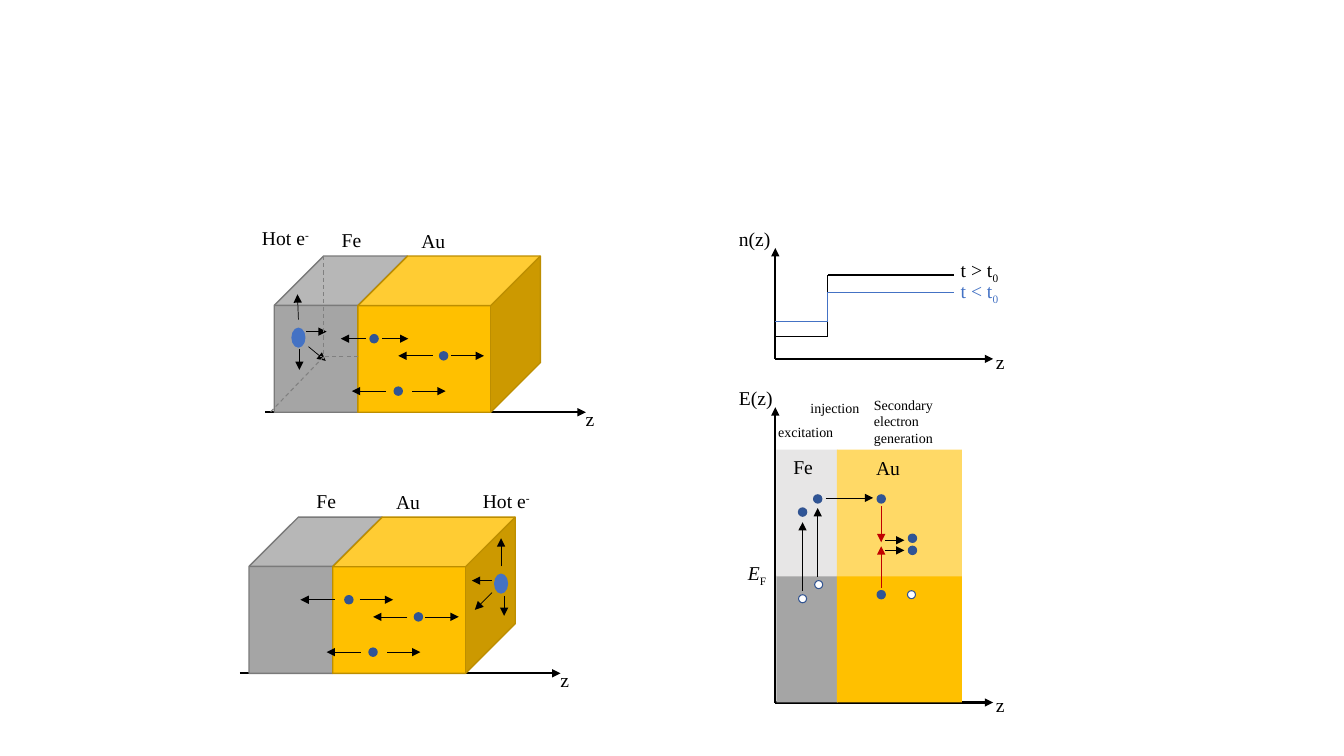
from lxml.etree import SubElement
from pptx import Presentation
from pptx.dml.color import RGBColor
from pptx.enum.dml import MSO_LINE
from pptx.enum.shapes import MSO_CONNECTOR, MSO_SHAPE
from pptx.oxml.ns import qn
from pptx.util import Inches, Pt

BLACK, WHITE, BLUE, RED = "000000", "FFFFFF", "4472C4", "C00000"
IRON, GOLD, NAVY, RIM = "A5A5A5", "FFC000", "2F5597", "325491"
DOT = 0.08


def color(value):
    """Turn a hex string into a colour."""
    return RGBColor.from_string(value)


def add_line(page, start, end, shade=BLACK, width=0.5, arrow=True, dashed=False):
    """Draw a straight line, with an arrowhead at its end if wanted."""
    points = [Inches(value) for value in (*start, *end)]
    line = page.shapes.add_connector(MSO_CONNECTOR.STRAIGHT, *points)
    line.line.color.rgb = color(shade)
    line.line.width = Pt(width)
    if dashed:
        line.line.dash_style = MSO_LINE.DASH
    properties = line._element.spPr
    if arrow:
        SubElement(properties.find(qn("a:ln")), qn("a:tailEnd"), type="triangle")
    SubElement(properties, qn("a:effectLst"))


def add_solid(page, kind, box, fill, edge=None, width=1):
    """Draw a filled preset shape with an optional outline."""
    solid = page.shapes.add_shape(kind, *(Inches(value) for value in box))
    solid.shadow.inherit = False
    solid.fill.solid()
    solid.fill.fore_color.rgb = color(fill)
    if edge:
        solid.line.color.rgb = color(edge)
        solid.line.width = Pt(width)
    else:
        solid.line.fill.background()
    return solid


def add_electron(page, left, top):
    """Draw a small filled electron."""
    add_solid(page, MSO_SHAPE.OVAL, (left, top, DOT, DOT), NAVY, RIM)


def add_hole(page, left, top):
    """Draw a small empty electron hole."""
    add_solid(page, MSO_SHAPE.OVAL, (left, top, DOT, DOT), WHITE, RIM, 0.75)


def add_label(page, box, text, shift="", baseline=0, size=14, shade=BLACK,
              wrap=True, italic=False):
    """Write a label, with an optional subscript or superscript."""
    frame = page.shapes.add_textbox(*(Inches(value) for value in box)).text_frame
    frame.word_wrap = wrap
    para = frame.paragraphs[0]
    para.font.name = "Times New Roman"
    para.font.size = Pt(size)
    para.font.color.rgb = color(shade)
    span = para.add_run()
    span.text = text
    if italic:
        span.font.italic = True
    if shift:
        span = para.add_run()
        span.text = shift
        span.font._element.set("baseline", str(baseline * 1000))


def add_bilayer(page, left, top, hot_spot, hot_arrows, hot_label, first_arrows):
    """Draw the Fe/Au block with its z axis, electrons and hot electron."""
    def at(across, down):
        return left + across, top + down

    add_line(page, at(-0.09, 1.55), at(3.09, 1.55), width=1.5)
    for across, width, depth, fill, edge in (
            (0, 1.32, 0.371, IRON, "7A7A7A"), (0.83, 1.81, 0.318, GOLD, "BD8E00")):
        cube = add_solid(page, MSO_SHAPE.CUBE, (*at(across, 0), width, 1.55), fill, edge)
        cube.adjustments[0] = depth
    add_label(page, (*at(2.99, 1.45), 0.29, 0.34), "z", wrap=False)
    add_solid(page, MSO_SHAPE.OVAL, (*at(*hot_spot), 0.14, 0.2), BLUE)
    for start, end in hot_arrows:
        add_line(page, at(*start), at(*end))
    for across, down, arrows in (
            (0.95, 0.78, first_arrows),
            (1.64, 0.95, ((1.57, 1.23), (1.75, 2.08))),
            (1.19, 1.3, ((1.11, 0.77), (1.37, 1.7)))):
        add_electron(page, *at(across, down))
        for start, end in arrows:
            add_line(page, at(start, down + DOT / 2), at(end, down + DOT / 2))
    add_label(page, (*at(0.57, -0.33), 0.46, 0.34), "Fe")
    add_label(page, (*at(1.36, -0.32), 0.52, 0.34), "Au")
    add_label(page, (*at(*hot_label), 0.7, 0.34), "Hot e", "-", 30)


def add_hidden_edges(page, left, top):
    """Draw the dashed rear edges of the Fe layer."""
    for start, end in (((0.49, 0), (0.49, 1.02)), ((0.49, 1), (-0.04, 1.55)),
                       ((0.83, 1), (0.45, 1))):
        add_line(page, (left + start[0], top + start[1]), (left + end[0], top + end[1]),
                 "808080", 0.75, arrow=False, dashed=True)


def add_axes(page, left, bottom, height, name):
    """Draw a vertical axis with its name and a horizontal z axis."""
    add_line(page, (left, bottom), (left + 2.16, bottom), width=1.5)
    add_line(page, (left, bottom), (left, bottom - height), width=1.5)
    add_label(page, (left - 0.46, bottom - height - 0.26, 0.94, 0.34), name)
    add_label(page, (left + 2.09, bottom - 0.14, 0.29, 0.34), "z", wrap=False)


def add_density(page, left, bottom):
    """Draw the step profiles of n(z) before and after t0."""
    add_axes(page, left, bottom, 1.1, "n(z)")
    step, end = left + 0.52, left + 1.77
    for sign, shade, low, high, label_top in (
            (">", BLACK, 0.22, 0.83, 1.05), ("<", BLUE, 0.37, 0.66, 0.84)):
        corners = [(left, bottom - low), (step, bottom - low),
                   (step, bottom - high), (end, bottom - high)]
        for start, stop in zip(corners, corners[1:]):
            add_line(page, start, stop, shade, 1, arrow=False)
        add_label(page, (left + 1.74, bottom - label_top, 0.58, 0.34),
                  f"t {sign} t", "0", -25, shade=shade, wrap=False)


def add_energy(page, left, bottom):
    """Draw the energy diagram with excitation, injection and generation."""
    def at(across, up):
        return left + across, bottom - up

    add_axes(page, left, bottom, 2.93, "E(z)")
    for across, width, filled, empty in ((0.01, 0.61, IRON, "E7E6E6"),
                                         (0.61, 1.24, GOLD, "FFD966")):
        for up, fill in ((1.26, filled), (2.51, empty)):
            add_solid(page, MSO_SHAPE.RECTANGLE, (*at(across, up), width, 1.26), fill)
    add_label(page, (*at(-0.37, 1.45), 0.94, 0.34), "E", "F", -25, italic=True)
    add_label(page, (*at(0.08, 2.51), 0.46, 0.34), "Fe")
    add_label(page, (*at(0.9, 2.5), 0.52, 0.34), "Au")
    for across, up in ((0.23, 1.07), (0.39, 1.21), (1.31, 1.11)):
        add_hole(page, *at(across, up))
    for across, up in ((0.23, 1.93), (0.38, 2.06), (1.01, 2.06), (1.01, 1.11),
                       (1.32, 1.67), (1.32, 1.55)):
        add_electron(page, *at(across, up))
    for start, end, shade in (
            ((0.27, 1.11), (0.27, 1.79), BLACK), ((0.42, 1.25), (0.42, 1.93), BLACK),
            ((0.5, 2.03), (0.97, 2.03), BLACK), ((1.05, 1.95), (1.05, 1.59), RED),
            ((1.05, 1.14), (1.05, 1.55), RED), ((1.09, 1.61), (1.28, 1.61), BLACK),
            ((1.09, 1.51), (1.28, 1.51), BLACK)):
        add_line(page, at(*start), at(*end), shade)
    for text, across, up, width, height in (
            ("excitation", -0.07, 2.82, 0.75, 0.27),
            ("injection", 0.25, 3.06, 0.75, 0.27),
            ("Secondary electron generation", 0.88, 3.09, 0.84, 0.61)):
        add_label(page, (*at(across, up), width, height), text, size=10)


def main():
    """Build the slide and save it."""
    deck = Presentation()
    deck.slide_width, deck.slide_height = Inches(13.33), Inches(7.5)
    page = deck.slides.add_slide(deck.slide_layouts[6])
    add_density(page, 7.69, 3.56)
    add_energy(page, 7.69, 6.97)
    add_bilayer(page, 2.47, 5.13, (2.43, 0.56),
                (((2.41, 0.75), (2.24, 0.92)), ((2.5, 0.49), (2.5, 0.21)),
                 ((2.53, 0.78), (2.53, 0.98)), ((2.41, 0.63), (2.21, 0.63))),
                (2.22, -0.33), ((0.85, 0.51), (1.1, 1.43)))
    add_bilayer(page, 2.72, 2.54, (0.17, 0.71),
                (((0.34, 0.9), (0.51, 1.04)), ((0.24, 0.63), (0.23, 0.38)),
                 ((0.25, 0.92), (0.25, 1.13)), ((0.32, 0.75), (0.52, 0.75))),
                (-0.22, -0.35), ((0.91, 0.66), (1.07, 1.33)))
    add_hidden_edges(page, 2.72, 2.54)
    deck.save("out.pptx")


if __name__ == "__main__":
    main()
